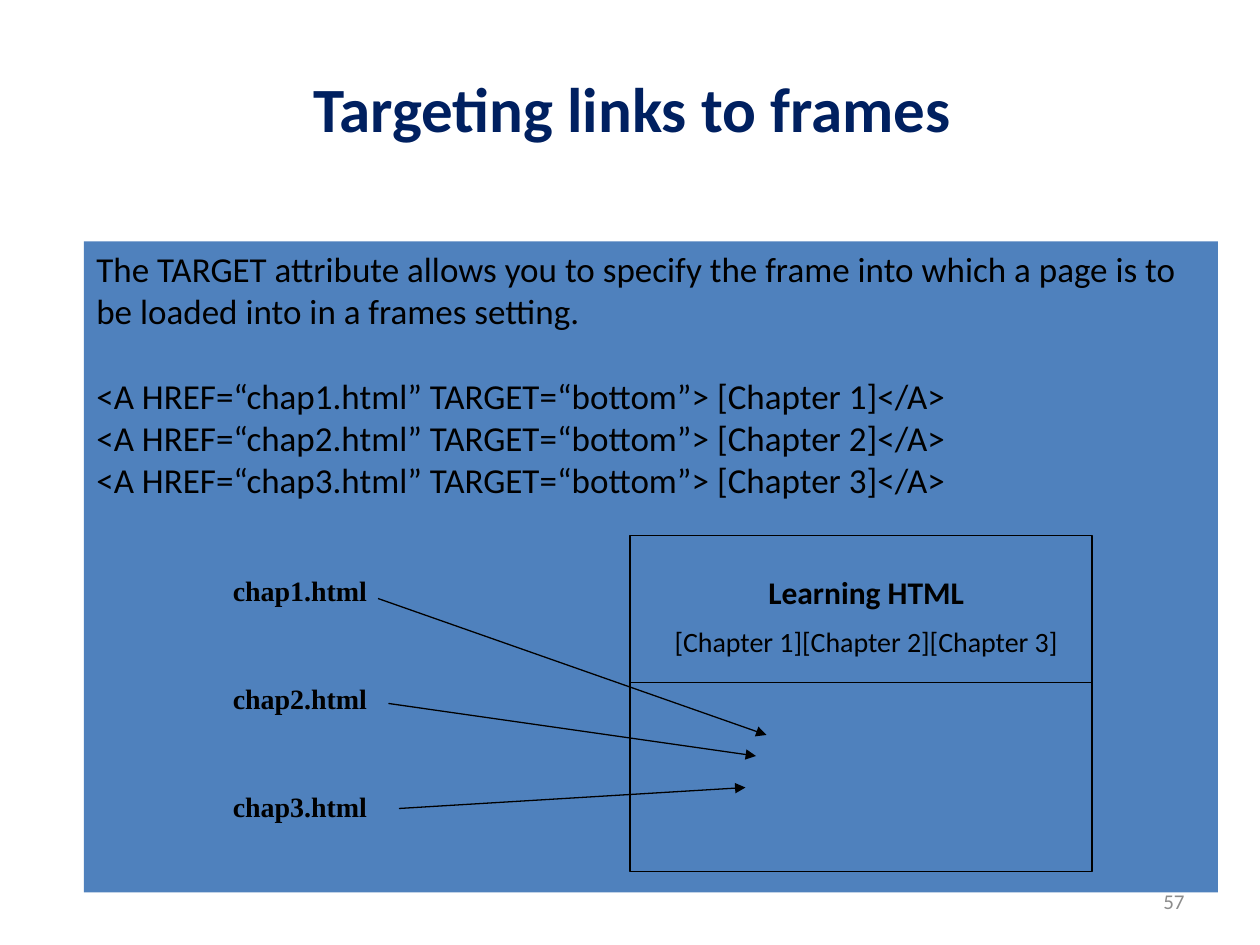
from dataclasses import dataclass
from lxml.etree import SubElement
from pptx import Presentation
from pptx.dml.color import RGBColor
from pptx.enum.shapes import MSO_CONNECTOR, MSO_SHAPE
from pptx.enum.text import MSO_ANCHOR, PP_ALIGN
from pptx.oxml.ns import qn
from pptx.util import Inches, Pt


@dataclass(frozen=True)
class Theme:
    body_font: str = "Calibri"
    label_font: str = "Times New Roman"
    title_color: str = "002060"
    panel_color: str = "4F81BD"
    ink: str = "000000"
    number_color: str = "8C8C8C"
    title_size: int = 36
    body_size: int = 20
    heading_size: int = 18
    label_size: int = 16
    number_size: int = 12
    line_width: float = 0.75


THEME = Theme()
WIDTH, HEIGHT = Inches(10), Inches(7.5)
COLUMNS, ROWS = 120, 90

TITLE = "Targeting links to frames"
PAGE_NUMBER = "57"
INTRODUCTION = (
    "The TARGET attribute allows you to specify the frame into which "
    "a page is to be loaded into in a frames setting."
)
CODE_LINES = [
    "<A HREF=“chap1.html” TARGET=“bottom”> [Chapter 1]</A>",
    "<A HREF=“chap2.html” TARGET=“bottom”> [Chapter 2]</A>",
    "<A HREF=“chap3.html” TARGET=“bottom”> [Chapter 3]</A>",
]
FRAME_HEADING = "Learning HTML"
FRAME_LINKS = "[Chapter 1][Chapter 2][Chapter 3]"
CHAPTERS = [
    ("chap1.html", (73, 70)),
    ("chap2.html", (72, 72)),
    ("chap3.html", (71, 75)),
]

PANEL = (8, 23, 108, 62)
FRAME = (60, 51, 44, 32)
FRAME_TEXT = (61, 54, 43, 9.6)
DIVIDER_ROW = 65
TITLE_BOX = (9.4, 6, 101.6, 8.5)
NUMBER_BOX = (86, 83.4, 28, 4.8)
LABEL_COLUMN, LABEL_ROW, LABEL_STEP = 21, 54, 10.3
LABEL_WIDTH, LABEL_HEIGHT = 17, 4.4
ARROW_COLUMN, ARROW_ROW, ARROW_STEP = 36, 57, 10


def place(column, row):
    return round(WIDTH * column / COLUMNS), round(HEIGHT * row / ROWS)


def area(box):
    return *place(*box[:2]), *place(*box[2:])


def write(shape, lines, align=PP_ALIGN.LEFT, anchor=MSO_ANCHOR.TOP):
    frame = shape.text_frame
    frame.word_wrap = True
    frame.vertical_anchor = anchor
    for index, (text, font, size, color, bold, space) in enumerate(lines):
        paragraph = frame.add_paragraph() if index else frame.paragraphs[0]
        paragraph.text = text
        paragraph.alignment = align
        if space:
            paragraph.space_before = Pt(space)
        paragraph.font.name = font
        paragraph.font.size = Pt(size)
        paragraph.font.bold = bold
        paragraph.font.color.rgb = RGBColor.from_string(color)


def add_text(shapes, box, lines, **options):
    write(shapes.add_textbox(*area(box)), lines, **options)


def add_rectangle(shapes, box, fill=None, outline=None):
    shape = shapes.add_shape(MSO_SHAPE.RECTANGLE, *area(box))
    shape.shadow.inherit = False
    if fill:
        shape.fill.solid()
        shape.fill.fore_color.rgb = RGBColor.from_string(fill)
    else:
        shape.fill.background()
    if outline:
        shape.line.color.rgb = RGBColor.from_string(outline)
        shape.line.width = Pt(THEME.line_width)
    else:
        shape.line.fill.background()
    return shape


def add_line(shapes, start, end, arrow=False):
    connector = shapes.add_connector(MSO_CONNECTOR.STRAIGHT, *place(*start), *place(*end))
    connector.line.color.rgb = RGBColor.from_string(THEME.ink)
    connector.line.width = Pt(THEME.line_width)
    if arrow:
        SubElement(connector.line._get_or_add_ln(), qn("a:tailEnd"), type="triangle")
    SubElement(connector._element.spPr, qn("a:effectLst"))


def body_line(text, space=0):
    return text, THEME.body_font, THEME.body_size, THEME.ink, False, space


def add_panel(shapes):
    panel = add_rectangle(shapes, PANEL, fill=THEME.panel_color)
    first, *others = CODE_LINES
    blank_line = THEME.body_size * 1.22
    lines = [body_line(INTRODUCTION), body_line(first, blank_line), *map(body_line, others)]
    write(panel, lines)


def add_browser_frame(shapes):
    group = shapes.add_group_shape().shapes
    add_text(group, FRAME_TEXT, [
        (FRAME_HEADING, THEME.body_font, THEME.heading_size, THEME.ink, True, 0),
        (FRAME_LINKS, THEME.body_font, THEME.label_size, THEME.ink, False, THEME.label_size / 2),
    ], align=PP_ALIGN.CENTER)
    add_rectangle(group, FRAME, outline=THEME.ink)
    left, _, width, _ = FRAME
    add_line(group, (left, DIVIDER_ROW), (left + width, DIVIDER_ROW))


def add_chapters(shapes):
    for index, (name, target) in enumerate(CHAPTERS):
        box = (LABEL_COLUMN, LABEL_ROW + index * LABEL_STEP, LABEL_WIDTH, LABEL_HEIGHT)
        add_text(shapes, box, [(name, THEME.label_font, THEME.label_size, THEME.ink, True, 0)])
        start = (ARROW_COLUMN + index, ARROW_ROW + index * ARROW_STEP)
        add_line(shapes, start, target, arrow=True)


def main():
    presentation = Presentation()
    presentation.slide_width, presentation.slide_height = WIDTH, HEIGHT
    shapes = presentation.slides.add_slide(presentation.slide_layouts[6]).shapes
    number = (PAGE_NUMBER, THEME.body_font, THEME.number_size, THEME.number_color, False, 0)
    add_text(shapes, NUMBER_BOX, [number], align=PP_ALIGN.RIGHT, anchor=MSO_ANCHOR.MIDDLE)
    add_panel(shapes)
    add_browser_frame(shapes)
    add_chapters(shapes)
    title = (TITLE, THEME.body_font, THEME.title_size, THEME.title_color, True, 0)
    add_text(shapes, TITLE_BOX, [title], align=PP_ALIGN.CENTER)
    presentation.save("out.pptx")


if __name__ == "__main__":
    main()
